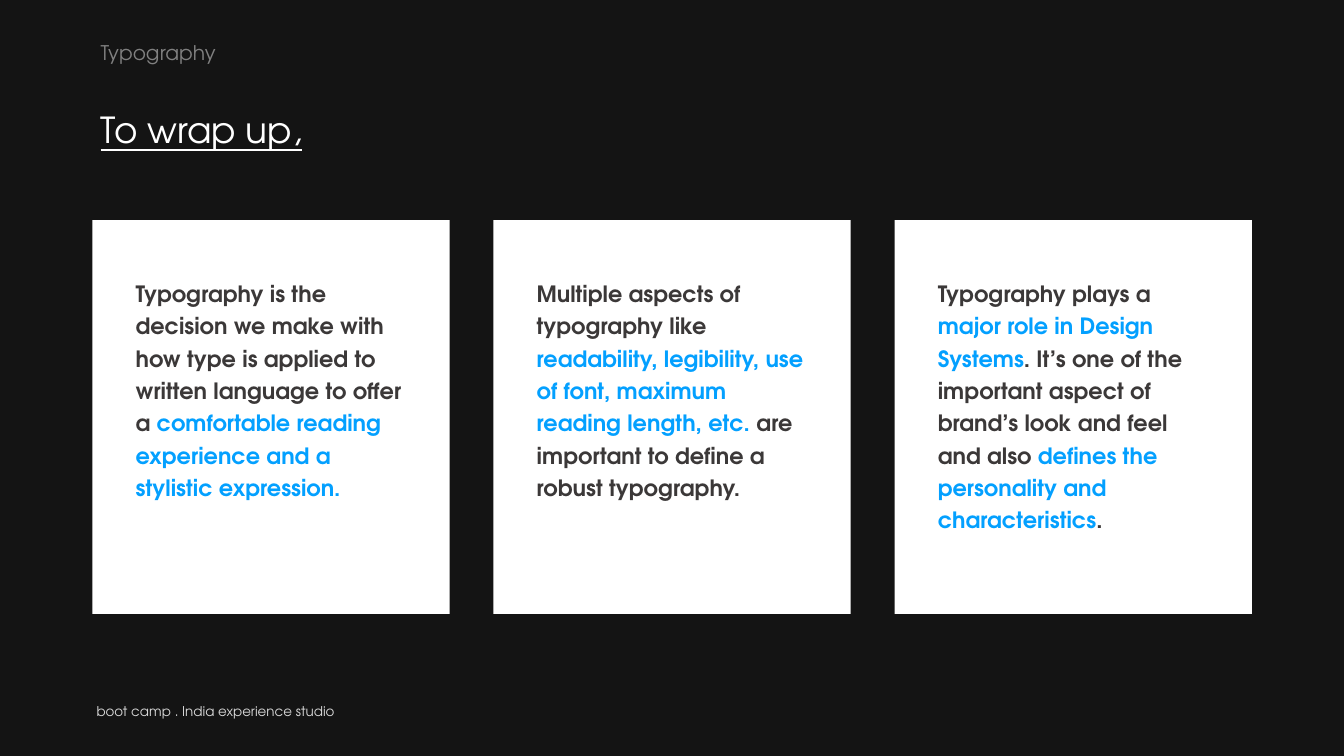
from pptx import Presentation
from pptx.dml.color import RGBColor
from pptx.enum.shapes import MSO_SHAPE
from pptx.enum.text import MSO_ANCHOR, MSO_AUTO_SIZE
from pptx.util import Cm, Pt

RECTANGLE = MSO_SHAPE.RECTANGLE
TOP, MIDDLE = MSO_ANCHOR.TOP, MSO_ANCHOR.MIDDLE
FIT_SHAPE, FIXED = MSO_AUTO_SIZE.SHAPE_TO_FIT_TEXT, MSO_AUTO_SIZE.NONE

# Content
FONT = "TeX Gyre Adventor"
BACKGROUND, WHITE, GREY, LIGHT = "141414", "FFFFFF", "808080", "D9D9D9"
DARK, BLUE = "3B3838", "03A0FF"

SECTION = "Typography"
TITLE = "To wrap up,"
FOOTER = "boot camp . India experience studio"

# Each card: height of its text box in cm, then its runs
CARDS = [
    (11.46, [
        ("Typography is the decision we make with how type is applied to "
         "written language to offer a ", DARK),
        ("comfortable reading experience and a stylistic expression.", BLUE),
    ]),
    (7.34, [
        ("Multiple aspects of typography like ", DARK),
        ("readability, legibility, use of font, maximum reading length, etc. ", BLUE),
        ("are important to define a robust typography.", DARK),
    ]),
    (8.38, [
        ("Typography plays a ", DARK),
        ("major role in Design Systems", BLUE),
        (". It’s one of the important aspect of brand’s look and feel and also ", DARK),
        ("defines the personality and characteristics", BLUE),
        (".", DARK),
    ]),
]

# Layout in cm
CARD_LEFT, CARD_TOP, CARD_WIDTH, CARD_HEIGHT = 2.91, 6.93, 11.25, 12.4
CARD_STEP = 12.63
TEXT_INDENT, TEXT_TOP, TEXT_WIDTH = 1.11, 8.53, 9.02


def color(value):
    return RGBColor.from_string(value)


def add_text(slide, box, runs, size, spacing=1.0, anchor=TOP, fit=FIXED,
             bold=False, underline=False):
    shape = slide.shapes.add_textbox(*(Cm(length) for length in box))
    frame = shape.text_frame
    frame.word_wrap = True
    frame.auto_size = fit
    frame.vertical_anchor = anchor
    paragraph = frame.paragraphs[0]
    paragraph.line_spacing = spacing
    for text, value in runs:
        run = paragraph.add_run()
        run.text = text
        run.font.name = FONT
        run.font.size = Pt(size)
        run.font.bold = bold
        run.font.underline = underline
        run.font.color.rgb = color(value)


def add_card(slide, left, text_height, runs):
    panel = slide.shapes.add_shape(RECTANGLE, Cm(left), Cm(CARD_TOP),
                                   Cm(CARD_WIDTH), Cm(CARD_HEIGHT))
    panel.shadow.inherit = False
    panel.fill.solid()
    panel.fill.fore_color.rgb = color(WHITE)
    panel.line.fill.background()
    add_text(slide, (left + TEXT_INDENT, TEXT_TOP, TEXT_WIDTH, text_height),
             runs, 20, spacing=1.2, fit=FIT_SHAPE, bold=True)


def main():
    presentation = Presentation()
    presentation.slide_width, presentation.slide_height = Cm(42.32), Cm(23.8)
    slide = presentation.slides.add_slide(presentation.slide_layouts[6])
    slide.background.fill.solid()
    slide.background.fill.fore_color.rgb = color(BACKGROUND)

    # Footer and headings
    add_text(slide, (2.79, 22, 21.18, 0.76), [(FOOTER, LIGHT)], 12, fit=FIT_SHAPE)
    add_text(slide, (2.92, 3.25, 22.81, 1.83), [(TITLE, WHITE)], 32,
             spacing=0.9, anchor=MIDDLE, underline=True)
    add_text(slide, (2.92, 1.22, 17.09, 0.99), [(SECTION, GREY)], 18,
             spacing=0.9, anchor=MIDDLE)

    # Cards
    for index, (text_height, runs) in enumerate(CARDS):
        add_card(slide, CARD_LEFT + index * CARD_STEP, text_height, runs)

    presentation.save("out.pptx")


if __name__ == "__main__":
    main()
